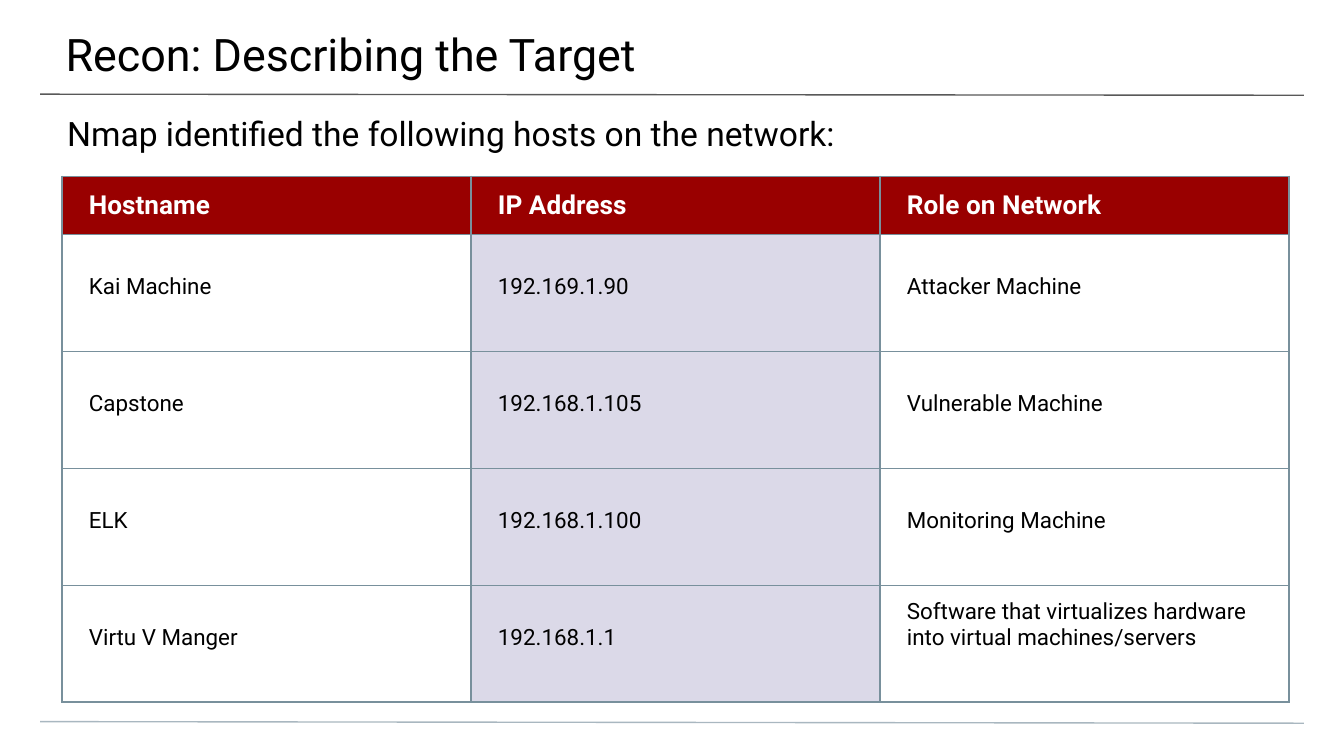
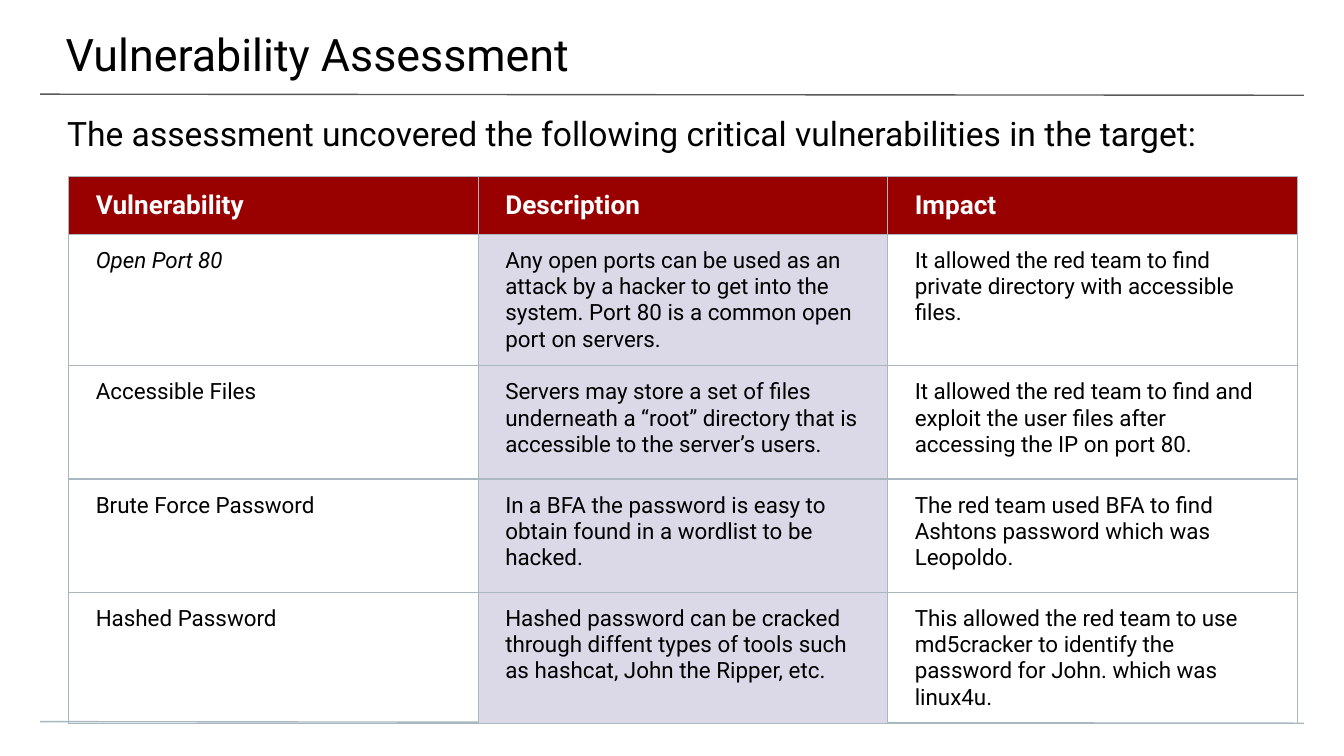
from dataclasses import dataclass

from lxml.etree import SubElement
from pptx import Presentation
from pptx.dml.color import RGBColor as Rgb
from pptx.enum.shapes import MSO_CONNECTOR as Connector
from pptx.enum.text import MSO_ANCHOR as Anchor, MSO_AUTO_SIZE as AutoSize, PP_ALIGN as Align
from pptx.oxml.ns import qn
from pptx.util import Cm, Pt


@dataclass(frozen=True)
class Theme:
    font: str = "Roboto"
    ink: str = "000000"
    white: str = "FFFFFF"
    header: str = "990000"
    highlight: str = "DBD9E8"
    rule: str = "595959"
    pale: str = "A9B7C0"
    slate: str = "78909C"
    title_size: int = 24
    lead_size: int = 18
    header_size: int = 14
    body_size: int = 12
    line_width: float = 0.75


THEME = Theme()

# Boxes are left, top, width, height in centimetres
TITLE_BOX = (-0.03, 0, 25.48, 1.47)
LEAD_BOX = (0, 1.88, 25.4, 1.02)
RULES = [
    ((0.76, 1.78, 23.88, 0.02), THEME.rule),
    ((0.76, 13.64, 23.88, 0.03), THEME.pale),
]
HEADER_HEIGHT = 1.1
CELL_INSETS = (0.51, 0.25, 0.51, 0.25)
HIGHLIGHT_COLUMN = 1

SLIDES = [
    {
        "title": "Recon: Describing the Target",
        "lead": "Nmap identified the following hosts on the network:",
        "box": (1.17, 3.33, 23.19, 9.94),
        "border": THEME.slate,
        # One text line of extra inset lowers the short entries
        "drop": 0.5,
        "rows": [
            ("Hostname", "IP Address", "Role on Network"),
            ("Kai Machine", "192.169.1.90", "Attacker Machine"),
            ("Capstone", "192.168.1.105", "Vulnerable Machine"),
            ("ELK", "192.168.1.100", "Monitoring Machine"),
            ("Virtu V Manger", "192.168.1.1",
             "Software that virtualizes hardware into virtual machines/servers"),
        ],
        "undropped": {(4, 2)},
        "italic": set(),
    },
    {
        "title": "Vulnerability Assessment",
        "lead": "The assessment uncovered the following critical vulnerabilities in the target:",
        "box": (1.3, 3.33, 23.22, 9.66),
        "border": THEME.pale,
        "drop": 0,
        "rows": [
            ("Vulnerability", "Description", "Impact"),
            ("Open Port 80",
             "Any open ports can be used as an attack by a hacker to get into the system. "
             "Port 80 is a common open port on servers.",
             "It allowed the red team to find private directory with accessible files."),
            ("Accessible Files",
             "Servers may store a set of files underneath a “root” directory that is "
             "accessible to the server’s users.",
             "It allowed the red team to find and exploit the user files after accessing "
             "the IP on port 80."),
            ("Brute Force Password",
             "In a BFA the password is easy to obtain found in a wordlist to be hacked.",
             "The red team used BFA to find Ashtons password which was Leopoldo."),
            ("Hashed Password",
             "Hashed password can be cracked through diffent types of tools such as hashcat, "
             "John the Ripper, etc.",
             "This allowed the red team to use md5cracker to identify the password for John. "
             "which was linux4u."),
        ],
        "undropped": set(),
        "italic": {(1, 0)},
    },
]


def apply(target, values):
    for name, value in values.items():
        setattr(target, name, value)


def set_insets(target, insets):
    sides = ("left", "top", "right", "bottom")
    apply(target, {f"margin_{side}": Cm(inset) for side, inset in zip(sides, insets)})


def write(frame, text, size, color=THEME.ink, bold=False, italic=False):
    frame.word_wrap = True
    paragraph = frame.paragraphs[0]
    paragraph.alignment = Align.LEFT
    run = paragraph.add_run()
    run.text = text
    apply(run.font, {"name": THEME.font, "size": Pt(size), "bold": bold, "italic": italic})
    run.font.color.rgb = Rgb.from_string(color)


def place_text(shape, box, insets, text, size):
    apply(shape, dict(zip(("left", "top", "width", "height"), map(Cm, box))))
    frame = shape.text_frame
    apply(frame, {"auto_size": AutoSize.NONE, "vertical_anchor": Anchor.TOP})
    set_insets(frame, insets)
    write(frame, text, size)


def add_rule(slide, box, color):
    left, top, width, height = box
    line = slide.shapes.add_connector(
        Connector.STRAIGHT, Cm(left), Cm(top), Cm(left + width), Cm(top + height))
    line.line.color.rgb = Rgb.from_string(color)
    line.line.width = Pt(THEME.line_width)
    SubElement(line._element.spPr, qn("a:effectLst"))


def add_borders(cell, color):
    properties = cell._tc.get_or_add_tcPr()
    for side in ("lnL", "lnR", "lnT", "lnB"):
        border = SubElement(properties, qn(f"a:{side}"), w=str(Pt(THEME.line_width)))
        fill = SubElement(border, qn("a:solidFill"))
        SubElement(fill, qn("a:srgbClr"), val=color)


def fill_cell(cell, color):
    if color:
        cell.fill.solid()
        cell.fill.fore_color.rgb = Rgb.from_string(color)
    else:
        cell.fill.background()


def add_grid(slide, content):
    rows = content["rows"]
    left, top, width, height = content["box"]
    table = slide.shapes.add_table(
        len(rows), len(rows[0]), Cm(left), Cm(top), Cm(width), Cm(height)).table
    table.horz_banding = False
    for column in table.columns:
        column.width = Cm(width / len(rows[0]))
    body_height = (height - HEADER_HEIGHT) / (len(rows) - 1)

    for row_index, row in enumerate(rows):
        is_header = row_index == 0
        table.rows[row_index].height = Cm(HEADER_HEIGHT if is_header else body_height)
        for column_index, text in enumerate(row):
            position = (row_index, column_index)
            cell = table.cell(*position)
            set_insets(cell, CELL_INSETS)
            add_borders(cell, content["border"])
            if is_header:
                cell.vertical_anchor = Anchor.MIDDLE
                fill_cell(cell, THEME.header)
                write(cell.text_frame, text, THEME.header_size, THEME.white, bold=True)
                continue
            cell.vertical_anchor = Anchor.TOP
            if position not in content["undropped"]:
                cell.margin_top += Cm(content["drop"])
            fill_cell(cell, THEME.highlight if column_index == HIGHLIGHT_COLUMN else None)
            write(cell.text_frame, text, THEME.body_size,
                  italic=position in content["italic"])


def add_table_slide(presentation, content):
    slide = presentation.slides.add_slide(presentation.slide_layouts[5])
    slide.background.fill.solid()
    slide.background.fill.fore_color.rgb = Rgb.from_string(THEME.white)
    # Rules under the title and above the bottom edge
    for box, color in RULES:
        add_rule(slide, box, color)
    # Title and lead sentence
    place_text(slide.shapes.title, TITLE_BOX, (1.27, 0.51, 0.76, 0.25),
               content["title"], THEME.title_size)
    lead = slide.shapes.add_textbox(*map(Cm, LEAD_BOX))
    place_text(lead, LEAD_BOX, (1.27, 0.25, 1.27, 0), content["lead"], THEME.lead_size)
    # Findings
    add_grid(slide, content)


def main():
    presentation = Presentation()
    apply(presentation, {"slide_width": Cm(25.4), "slide_height": Cm(14.29)})
    for content in SLIDES:
        add_table_slide(presentation, content)
    presentation.save("out.pptx")


if __name__ == "__main__":
    main()
